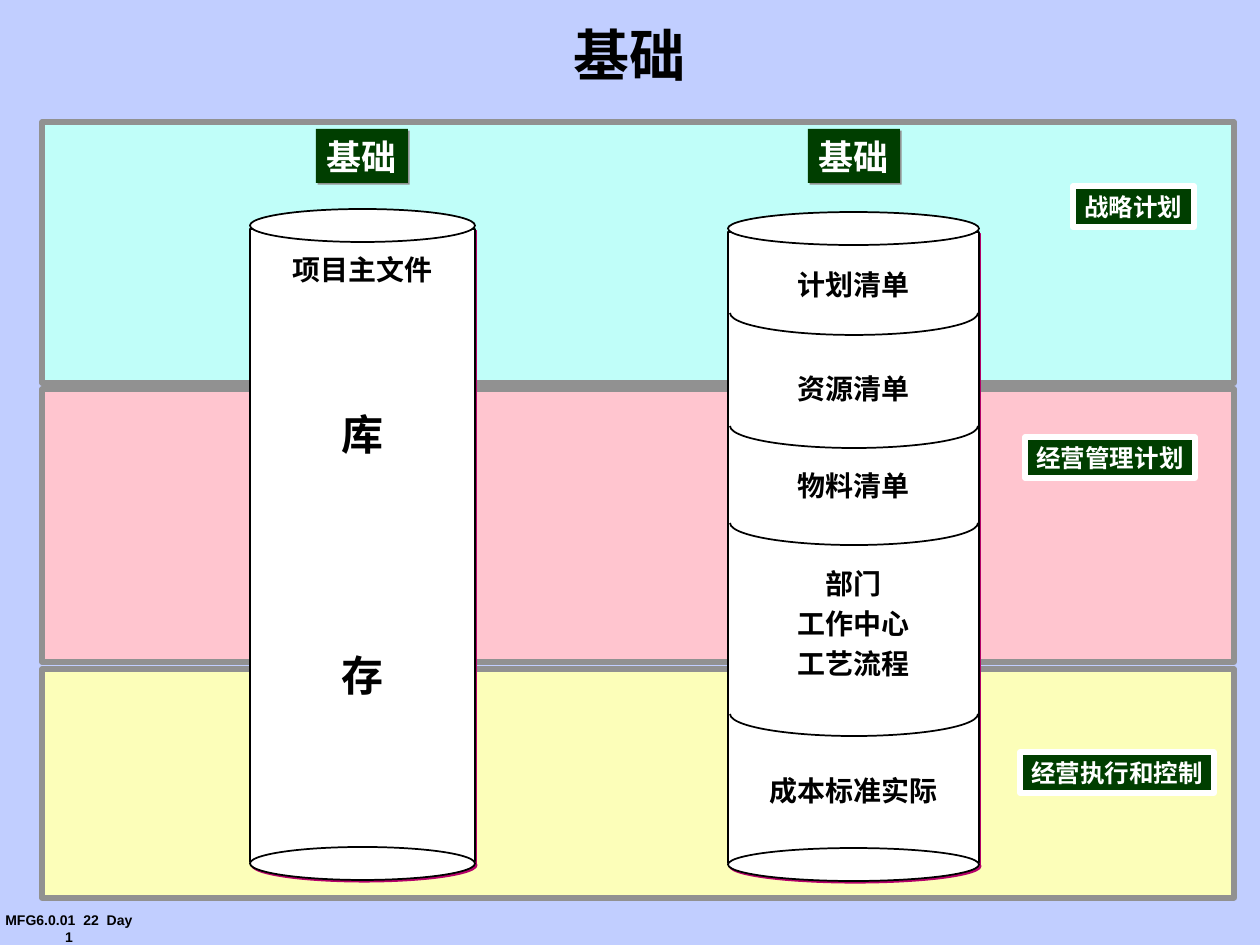
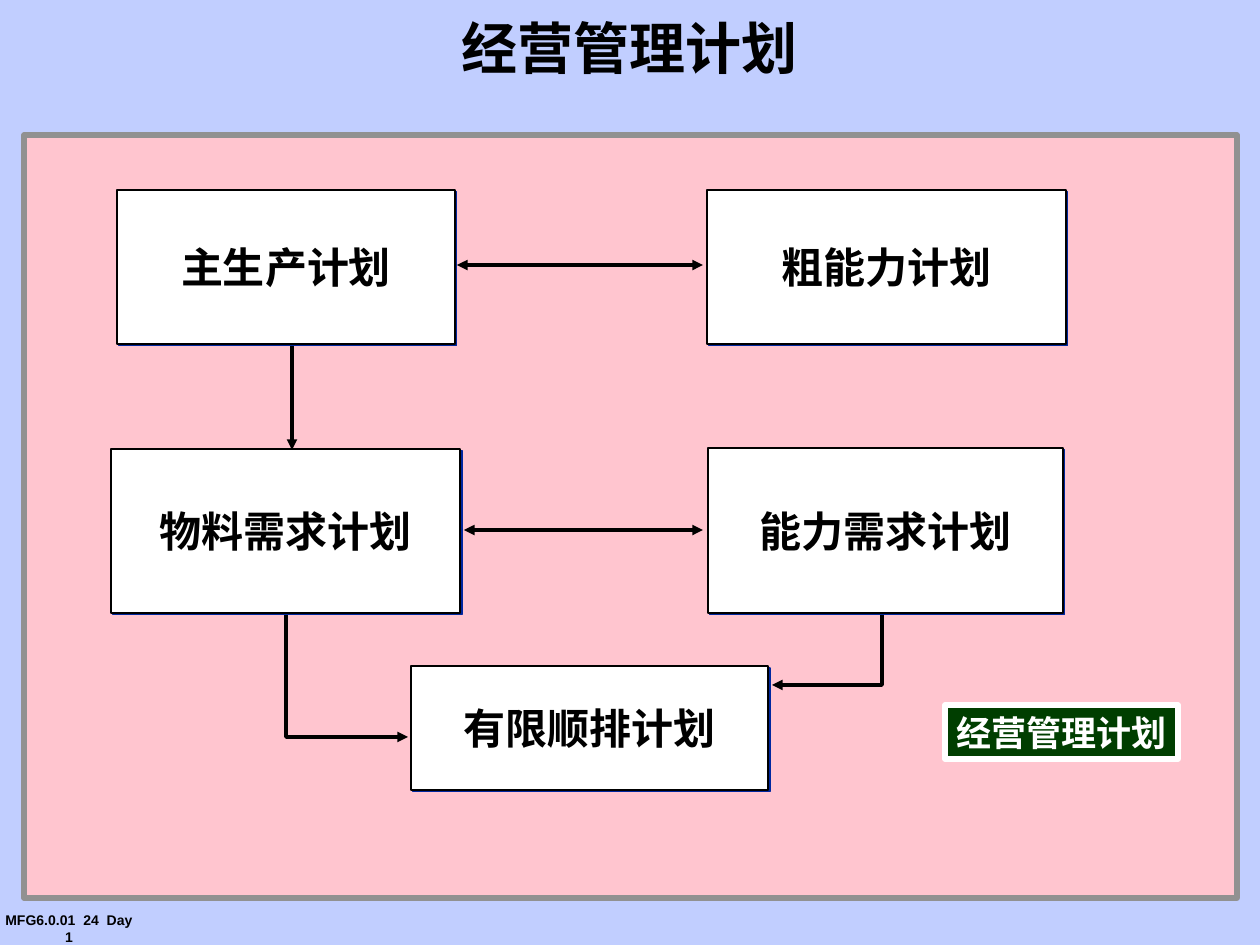
from dataclasses import dataclass
from lxml.etree import SubElement
from pptx import Presentation
from pptx.dml.color import RGBColor
from pptx.enum.shapes import MSO_CONNECTOR, MSO_SHAPE
from pptx.enum.text import MSO_ANCHOR, PP_ALIGN
from pptx.oxml.ns import qn
from pptx.util import Inches, Pt

SCALE = Inches(1) / 126


@dataclass(frozen=True)
class Theme:
    page: str = "C1CEFF"
    aqua: str = "C0FEF9"
    pink: str = "FFC5CF"
    cream: str = "FCFEB9"
    green: str = "003E00"
    gray: str = "919191"
    plum: str = "B50069"
    navy: str = "00279F"
    white: str = "FFFFFF"
    black: str = "000000"
    font: str = "Noto Sans CJK SC"
    small: str = "Arial"
    title: int = 32
    large: int = 24
    head: int = 20
    body: int = 16
    tag: int = 14
    foot: int = 8


T = Theme()


def px(n):
    return round(n * SCALE)


def color(code):
    return RGBColor.from_string(code)


def shift(box, x, y):
    return box[0] + x, box[1] + y


def write(frame, lines, size, ink=T.black, font=T.font, gap=0, pitch=1.0):
    frame.margin_left = frame.margin_right = 0
    frame.margin_top = frame.margin_bottom = 0
    frame.vertical_anchor = MSO_ANCHOR.MIDDLE
    frame.word_wrap = False
    for i, line in enumerate(lines):
        par = frame.add_paragraph() if i else frame.paragraphs[0]
        par.alignment = PP_ALIGN.CENTER
        par.line_spacing = pitch
        par.space_before = Pt(gap if i else 0)
        run = par.add_run()
        run.text = line
        run.font.size = Pt(size)
        run.font.bold = True
        run.font.name = font
        run.font.color.rgb = color(ink)
        SubElement(run.font._element, qn("a:ea"), typeface=font)


def label(slide, box, lines, size, **style):
    area = slide.shapes.add_textbox(*map(px, box))
    write(area.text_frame, lines, size, **style)


def shape(slide, kind, box, fill=None, line=None, width=1, shade=None):
    item = slide.shapes.add_shape(kind, *map(px, box))
    item.shadow.inherit = False
    if fill:
        item.fill.solid()
        item.fill.fore_color.rgb = color(fill)
    else:
        item.fill.background()
    if line:
        item.line.color.rgb = color(line)
        item.line.width = Pt(width)
    else:
        item.line.fill.background()
    if shade:
        group = item._element.spPr.find(qn("a:effectLst"))
        cast = SubElement(group, qn("a:outerShdw"), blurRad="0",
                          dist=str(Pt(1.4)), dir="2700000",
                          algn="ctr", rotWithShape="0")
        SubElement(cast, qn("a:srgbClr"), val=shade)
    return item


def panel(slide, box, fill):
    shape(slide, MSO_SHAPE.RECTANGLE, box, fill, T.gray, 3)


def tag(slide, box, text, size):
    item = shape(slide, MSO_SHAPE.RECTANGLE, box, T.green, T.white, 3)
    write(item.text_frame, [text], size, T.white)


def head(slide, box):
    item = shape(slide, MSO_SHAPE.RECTANGLE, box, T.green, shade=T.gray)
    write(item.text_frame, ["基础"], T.head, T.white)


def card(slide, box, text):
    item = shape(slide, MSO_SHAPE.RECTANGLE, box, T.white, T.black,
                 shade=T.navy)
    write(item.text_frame, [text], T.large)


def ends(item, *tips):
    item.line.color.rgb = color(T.black)
    item.line.width = Pt(2)
    for tip in tips:
        SubElement(item.line._get_or_add_ln(), qn(f"a:{tip}"),
                   type="triangle")


def arrow(slide, start, stop, *tips):
    link = slide.shapes.add_connector(MSO_CONNECTOR.STRAIGHT,
                                      *map(px, start + stop))
    ends(link, *tips)
    SubElement(link._element.spPr, qn("a:effectLst"))


def elbow(slide, start, bend, stop):
    pen = slide.shapes.build_freeform(*start, scale=SCALE)
    pen.add_line_segments([bend, stop], close=False)
    item = pen.convert_to_shape()
    item.shadow.inherit = False
    item.fill.background()
    ends(item, "tailEnd")


def tower(slide, box, rims=()):
    left, top, wide, high = box
    cap = 33
    shape(slide, MSO_SHAPE.RECTANGLE, (left, top + 20, wide, high - 38),
          T.white, T.black, shade=T.plum)
    shape(slide, MSO_SHAPE.OVAL, (left, top, wide, cap), T.white, T.black)
    shape(slide, MSO_SHAPE.OVAL, (left, top + high - cap, wide, cap),
          T.white, T.black, shade=T.plum)
    for rim in rims:
        arc = shape(slide, MSO_SHAPE.ARC,
                    (left + 2, top + rim - 22, wide - 3, 44), line=T.black)
        arc.adjustments[0] = 0
        arc.adjustments[1] = 108


def stock(slide, box):
    tower(slide, box)
    left, top, wide, _ = box
    label(slide, (left, top + 42, wide, 36), ["项目主文件"], T.body)
    label(slide, (left, top + 165, wide, 360), ["库", "存"], T.large, gap=109)


def lists(slide, box):
    tower(slide, box, (101, 214, 311, 502))
    left, top, wide, _ = box
    rows = [(72, ["计划清单"]), (176, ["资源清单"]), (273, ["物料清单"]),
            (411, ["部门", "工作中心", "工艺流程"]), (578, ["成本标准实际"])]
    for mid, lines in rows:
        high = 46 * len(lines)
        label(slide, (left, top + mid - high // 2, wide, high), lines,
              T.body, gap=3.7)


def bands(slide, box):
    left, top, wide, _ = box
    rows = [
        (0, 261, T.aqua, (1031, 64, 121), "战略计划"),
        (267, 273, T.pink, (983, 315, 170), "经营管理计划"),
        (547, 229, T.cream, (978, 630, 194), "经营执行和控制"),
    ]
    for y, high, fill, (x, row, span), text in rows:
        panel(slide, (left, top + y, wide, high), fill)
        tag(slide, (*shift(box, x, row), span, 41), text, T.tag)


def flow(slide, box):
    panel(slide, box, T.pink)
    both = ("headEnd", "tailEnd")
    links = [((433, 130), (679, 130), both),
             ((440, 395), (679, 395), both),
             ((268, 203), (268, 315), ("tailEnd",))]
    for start, stop, tips in links:
        arrow(slide, shift(box, *start), shift(box, *stop), *tips)
    bends = [((262, 453), (262, 602), (384, 602)),
             ((858, 399), (858, 550), (748, 550))]
    for bend in bends:
        elbow(slide, *(shift(box, *dot) for dot in bend))
    cards = [(93, 55, 338, 154, "主生产计划"),
             (683, 55, 359, 154, "粗能力计划"),
             (87, 314, 349, 164, "物料需求计划"),
             (684, 313, 355, 165, "能力需求计划"),
             (387, 531, 357, 124, "有限顺排计划")]
    for x, y, wide, high, text in cards:
        card(slide, (*shift(box, x, y), wide, high), text)
    tag(slide, (*shift(box, 921, 570), 233, 54), "经营管理计划", T.head)


def start(deck, title, box, page):
    slide = deck.slides.add_slide(deck.slide_layouts[5])
    name = slide.shapes.title
    name.left, name.top, name.width, name.height = map(px, box)
    write(name.text_frame, [title], T.title, pitch=0.9)
    label(slide, (0, 914, 138, 29), [f"MFG6.0.01  {page}  Day 1"], T.foot,
          font=T.small)
    return slide


def base(deck):
    slide = start(deck, "基础", (73, 15, 1113, 86), 22)
    bands(slide, (42, 122, 1192, 776))
    stock(slide, (250, 209, 225, 671))
    lists(slide, (728, 212, 251, 669))
    for x in (316, 808):
        head(slide, (x, 129, 92, 54))


def plan(deck):
    slide = start(deck, "经营管理计划", (0, 8, 1259, 86), 24)
    flow(slide, (24, 135, 1213, 763))


def main():
    deck = Presentation()
    deck.slide_width, deck.slide_height = px(1260), px(945)
    back = deck.slide_master.background.fill
    back.solid()
    back.fore_color.rgb = color(T.page)
    base(deck)
    plan(deck)
    deck.save("out.pptx")


if __name__ == "__main__":
    main()
